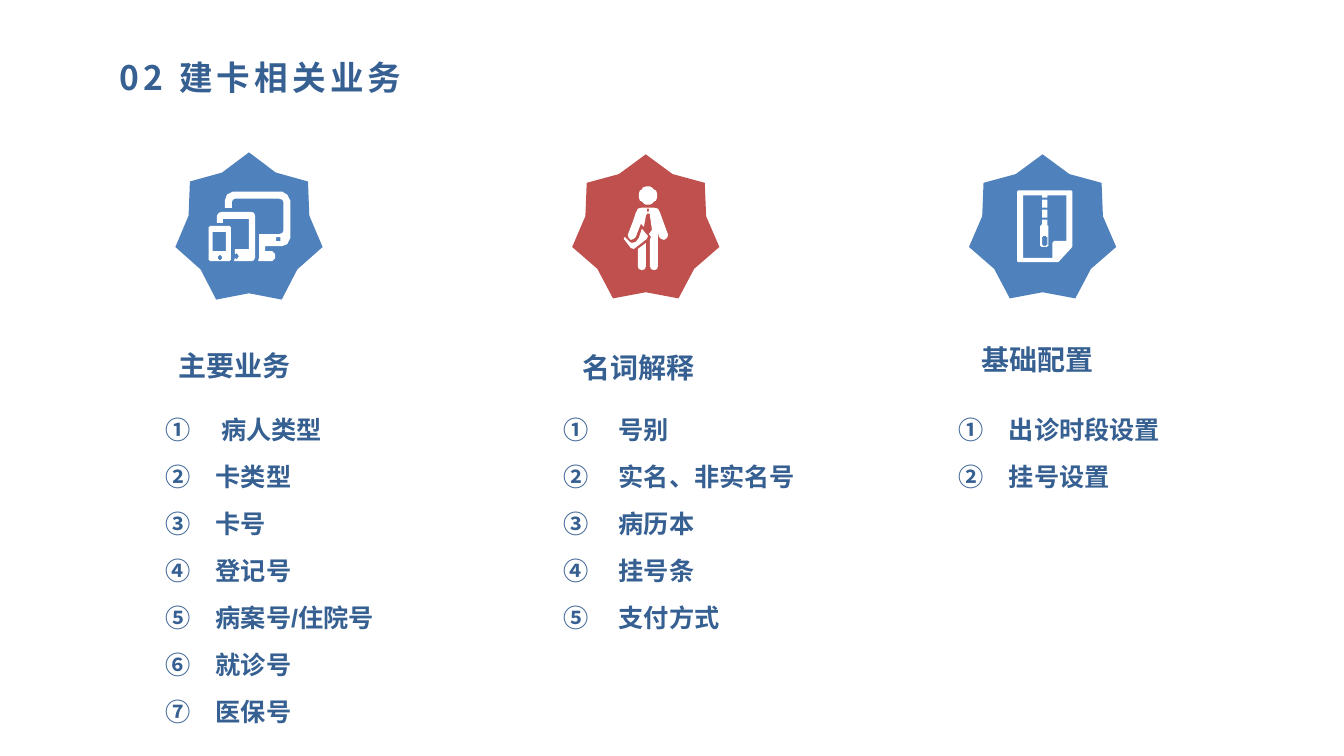
from math import cos, pi, sin

from pptx import Presentation
from pptx.dml.color import RGBColor
from pptx.enum.shapes import MSO_SHAPE
from pptx.enum.text import MSO_ANCHOR, MSO_AUTO_SIZE, PP_ALIGN
from pptx.oxml.ns import qn
from pptx.util import Cm, Pt

NAVY = RGBColor(0x37, 0x60, 0x92)
BLUE = RGBColor(0x4F, 0x81, 0xBD)
RED = RGBColor(0xC0, 0x50, 0x4D)
WHITE = RGBColor(0xFF, 0xFF, 0xFF)
CJK_FONT = "Noto Sans CJK SC"
LIST_FONT = "Arial"
ICON_UNIT = Cm(2.54) / 100


def rounded(left, top, right, bottom, radius=0):
    """Return the outline of a rectangle with rounded corners."""
    if not radius:
        return [(left, top), (right, top), (right, bottom), (left, bottom)]
    corners = [(right - radius, bottom - radius), (left + radius, bottom - radius),
               (left + radius, top + radius), (right - radius, top + radius)]
    return [(x + radius * cos(angle), y + radius * sin(angle))
            for quarter, (x, y) in enumerate(corners)
            for angle in [(quarter + step / 6) * pi / 2 for step in range(7)]]


def circle(x, y, radius):
    return rounded(x - radius, y - radius, x + radius, y + radius, radius)


TABLET = [(13, 20), (42, 20), (45, 21), (46, 24), (46, 65), (45, 68), (42, 69),
          (25, 69), (26, 66), (28, 67), (30, 64), (28, 61), (26, 62), (26, 57),
          (40, 57), (40, 27), (14, 27), (14, 31), (8, 31), (8, 24), (10, 21)]
MONITOR = [(24, 0), (73, 0), (78, 3), (81, 9), (81, 46), (78, 52), (73, 54),
           (56, 54), (56, 59), (63, 59), (66, 62), (66, 66), (63, 69), (49, 69),
           (50, 65), (50, 42), (70, 42), (73, 41), (74, 39), (74, 10), (73, 8),
           (70, 7), (26, 7), (24, 8), (23, 10), (23, 16), (16, 16), (16, 9), (18, 3)]
DEVICES = [rounded(0, 34, 22, 69, 2), rounded(4, 40, 17, 59), circle(11, 65.5, 2.3),
           TABLET, MONITOR, circle(69, 47, 2.3)]

LEFT_LEG = [(22, 56), (22, 79), (21, 82), (18, 83), (15, 82), (14, 79), (14, 62)]
CLIPBOARD = [(18, 42), (24, 49), (23, 52), (10, 62), (7, 61), (0, 52), (1, 50),
             (6, 55), (8, 56), (12, 55), (15, 51)]
BODY = [(18, 21), (30, 21), (34, 22), (36, 26), (44, 48), (43, 51), (40, 53),
        (37, 52), (35, 50), (34, 46), (34, 79), (33, 82), (30, 83), (27, 82),
        (26, 79), (26, 53), (27, 50), (25, 47), (28, 43), (26, 29), (26, 27),
        (23, 27), (22, 29), (20, 40), (17, 37), (12, 50), (10, 52), (7, 53),
        (5, 51), (4, 48), (9, 35), (12, 26), (14, 22)]
PERSON = [circle(24, 9, 9), LEFT_LEG, CLIPBOARD, BODY, rounded(23, 22, 25, 25, 0.5)]

PAGE = [(1, 0), (54, 0), (55, 1), (55, 55), (54, 57), (41, 71), (1, 71), (0, 70), (0, 1)]
PAGE_INSIDE = [(49, 50), (37, 50), (35, 52), (35, 67), (6, 67), (6, 5), (25, 5),
               (25, 7), (30, 7), (30, 5), (49, 5)]
ZIP_FILE = [PAGE, PAGE_INSIDE, rounded(25, 9, 30, 17), rounded(25, 19, 30, 27),
            rounded(25, 29, 30, 34), rounded(23, 34, 31, 56, 2), rounded(25, 45, 30, 55, 2)]

TITLE = "02 建卡相关业务"
# Positions and sizes are in centimetres.
COLUMNS = [
    dict(heading="主要业务", heading_at=(4.24, 8.66), fill=BLUE, star_top=3.84,
         star_height=3.71, icon=DEVICES, icon_at=(5.26, 4.83),
         list_box=(3.91, 10.31, 8, 8.7), indent=1.27, align=PP_ALIGN.JUSTIFY,
         items=[" 病人类型", "卡类型", "卡号", "登记号", "病案号/住院号", "就诊号", "医保号"]),
    dict(heading="名词解释", heading_at=(14.43, 8.71), fill=RED, star_top=3.89,
         star_height=3.63, icon=PERSON, icon_at=(15.72, 4.7),
         list_box=(13.94, 10.31, 7.29, 7.19), indent=1.4, align=PP_ALIGN.JUSTIFY,
         items=["号别", "实名、非实名号", "病历本", "挂号条", "支付方式"]),
    dict(heading="基础配置", heading_at=(24.49, 8.51), fill=BLUE, star_top=3.89,
         star_height=3.63, icon=ZIP_FILE, icon_at=(25.63, 4.8),
         list_box=(23.9, 10.31, 6.22, 2.6), indent=1.27, align=PP_ALIGN.LEFT,
         items=["出诊时段设置", "挂号设置"]),
]
STAR_LEFT, STAR_PITCH, STAR_WIDTH = 4.42, 10, 3.71


def write(shape, lines, size, font=CJK_FONT, align=PP_ALIGN.LEFT, gap=0,
          indent=None, tracking=None):
    """Fill a shape with lines; an indent in cm makes them a numbered list."""
    frame = shape.text_frame
    frame.word_wrap = True
    frame.auto_size = MSO_AUTO_SIZE.NONE
    frame.vertical_anchor = MSO_ANCHOR.TOP
    for index, line in enumerate(lines):
        paragraph = frame.add_paragraph() if index else frame.paragraphs[0]
        paragraph.alignment = align
        paragraph.line_spacing = Pt(size * 1.2)
        paragraph.space_before = Pt(gap if index else 0)
        paragraph.space_after = Pt(gap)
        if indent:
            properties = paragraph._p.get_or_add_pPr()
            properties.set("marL", str(Cm(indent)))
            properties.set("indent", str(-Cm(indent)))
            number = properties.makeelement(qn("a:buAutoNum"), {"type": "circleNumDbPlain"})
            properties.append(number)
        run = paragraph.add_run()
        run.text = line
        run.font.size = Pt(size)
        run.font.bold = True
        run.font.color.rgb = NAVY
        run.font.name = font
        run_properties = run._r.get_or_add_rPr()
        run_properties.append(run_properties.makeelement(qn("a:ea"), {"typeface": CJK_FONT}))
        if tracking:
            run_properties.set("spc", str(tracking * 100))


def place(shape, left, top, width, height):
    shape.left, shape.top, shape.width, shape.height = map(Cm, (left, top, width, height))


def paint(shape, color):
    shape.shadow.inherit = False
    shape.fill.solid()
    shape.fill.fore_color.rgb = color
    shape.line.fill.background()


def draw_icon(slide, outlines, left, top):
    builder = slide.shapes.build_freeform(*outlines[0][0], scale=ICON_UNIT)
    for index, outline in enumerate(outlines):
        if index:
            builder.move_to(*outline[0])
        builder.add_line_segments(outline[1:], close=True)
    paint(builder.convert_to_shape(Cm(left), Cm(top)), WHITE)


def main():
    presentation = Presentation()
    presentation.slide_width, presentation.slide_height = Cm(33.87), Cm(19.05)
    slide = presentation.slides.add_slide(presentation.slide_layouts.get_by_name("Comparison"))
    title, *list_shapes, spare = slide.placeholders
    spare.element.getparent().remove(spare.element)

    place(title, 2.75, 1.3, 25.7, 1.47)
    write(title, [TITLE], 24, tracking=3)

    for index, (column, list_shape) in enumerate(zip(COLUMNS, list_shapes)):
        star = slide.shapes.add_shape(
            MSO_SHAPE.STAR_7_POINT, Cm(STAR_LEFT + index * STAR_PITCH),
            Cm(column["star_top"]), Cm(STAR_WIDTH), Cm(column["star_height"]))
        star.adjustments[0] = 0.41
        paint(star, column["fill"])
        draw_icon(slide, column["icon"], *column["icon_at"])

        left, top = column["heading_at"]
        heading = slide.shapes.add_textbox(Cm(left), Cm(top), Cm(5), Cm(1))
        write(heading, [column["heading"]], 20)

        place(list_shape, *column["list_box"])
        write(list_shape, column["items"], 18, font=LIST_FONT, align=column["align"],
              gap=6, indent=column["indent"])

    presentation.save("out.pptx")


if __name__ == "__main__":
    main()
